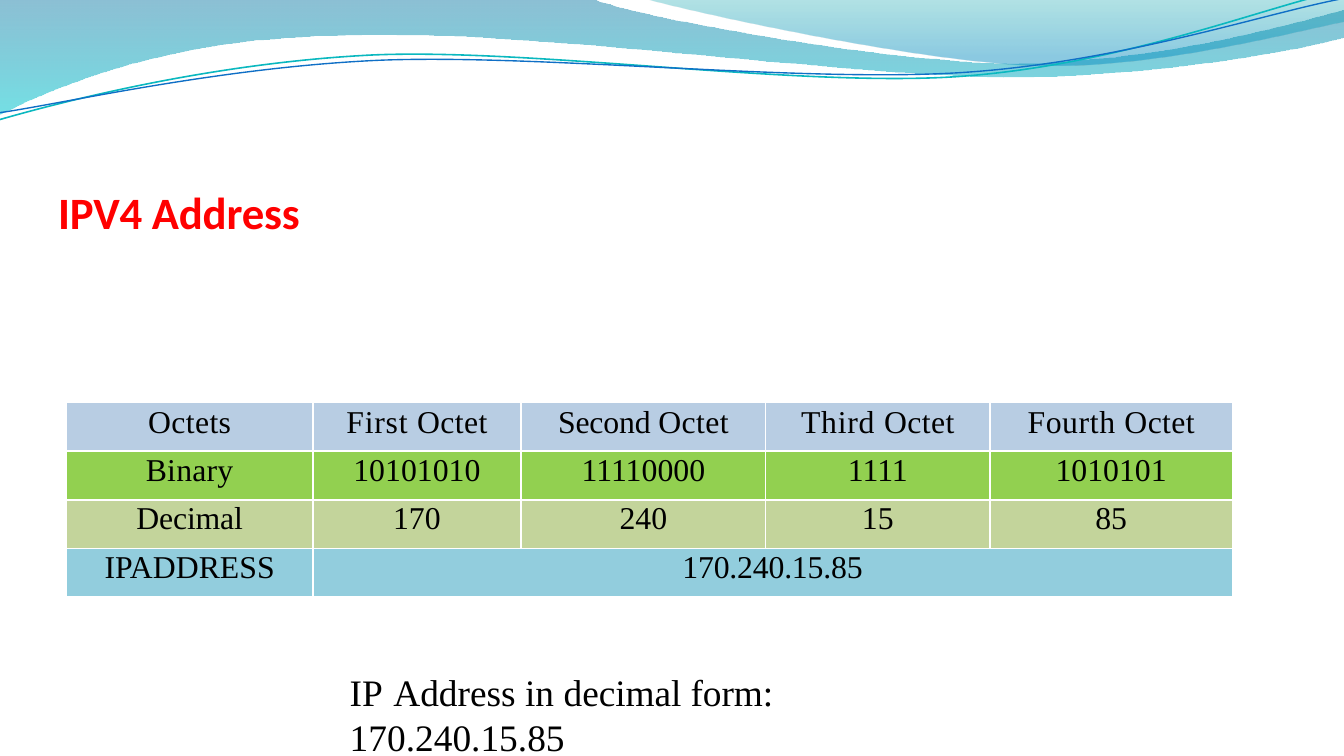
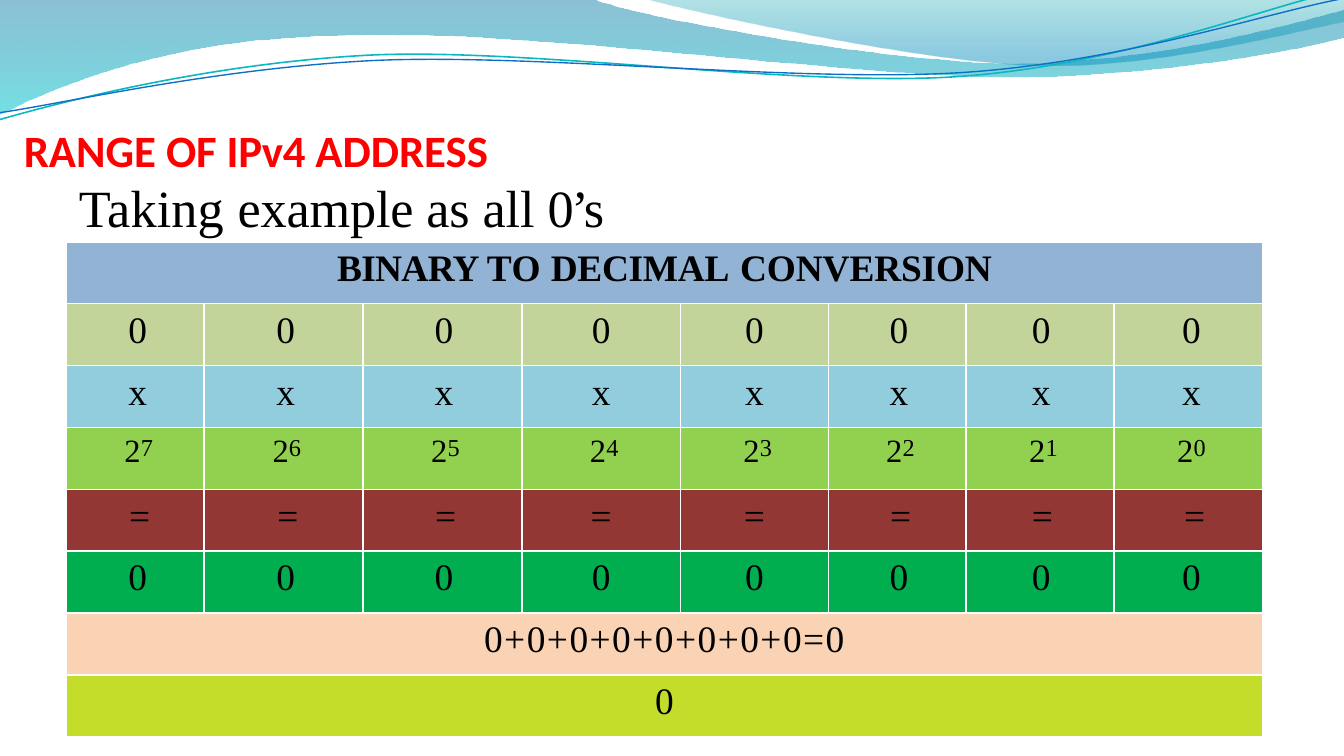
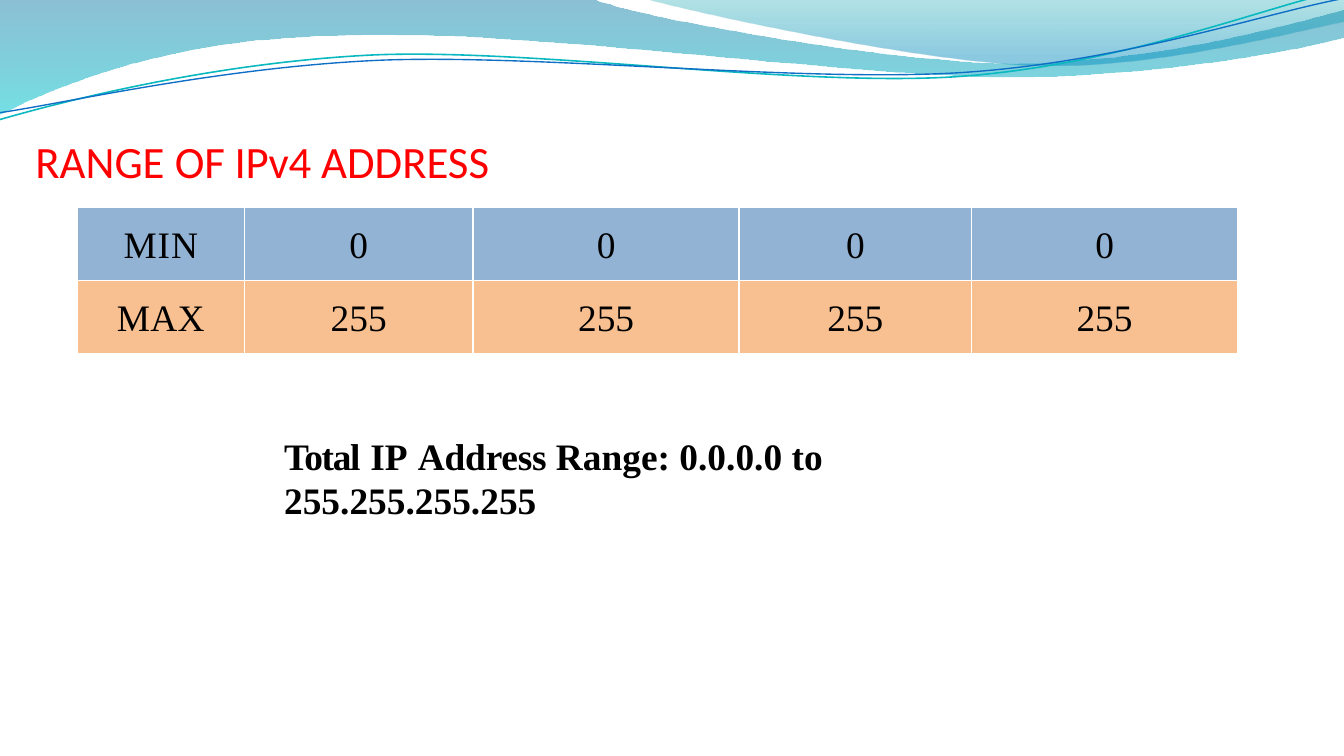
from lxml import etree
from pptx import Presentation
from pptx.dml.color import RGBColor
from pptx.enum.text import MSO_ANCHOR, MSO_AUTO_SIZE, PP_ALIGN
from pptx.oxml.ns import qn
from pptx.util import Cm, Pt

BLACK, RED, WHITE = "000000", "FF0000", "FFFFFF"
STEEL, OLIVE, AQUA, LIME = "93B3D5", "C3D49B", "92CDDD", "92D050"

# Wave outlines in cm: a start point, then one point for a line or three for a curve
BANDS = [
    ((0, 0),
     [[(11.18, -0.03)],
      [(12.09, 0.33), (16.87, 1.19), (19.25, 1.19)],
      [(21.67, 1.19), (24.33, 0.48), (25.4, 0.18)],
      [(25.43, 0.69)],
      [(24.97, 0.84), (22.1, 1.45), (18.95, 1.45)],
      [(15.8, 1.42), (9.7, 0.53), (6.53, 0.66)],
      [(3.28, 0.69), (1.17, 1.57), (-0.03, 2.16)]],
     [(0, "0074A1", 45), (1, "00C6CF", 55)]),
    ((12.17, -0.03),
     [[(12.93, 0.2), (17.32, 1.17), (19.53, 1.24)],
      [(21.74, 1.32), (24.41, 0.61), (25.4, 0.41)],
      [(25.4, 0)]],
     [(0, "00A1A9", 30), (0.8, "008BBF", 45)]),
]
STRANDS = [
    ((0, 2.26),
     [[(1.22, 1.91), (4.01, 1.19), (7.04, 1.04)],
      [(10.06, 0.91), (15.04, 1.65), (18.08, 1.45)],
      [(21.16, 1.24), (23.85, 0.15), (25.35, -0.18)]],
     "0AB8BF", 0.85),
    ((0, 2.13),
     [[(1.19, 1.96), (4.17, 1.27), (7.19, 1.14)],
      [(10.24, 1.02), (15.16, 1.57), (18.21, 1.37)],
      [(21.23, 1.17), (23.9, 0.25), (25.4, -0.03)]],
     "0F6FC6", 0.75),
]


def color(value):
    return RGBColor.from_string(value)


def write(frame, runs, size=20, font="Times New Roman", ink=BLACK, bold=False,
          align=PP_ALIGN.LEFT, leading=None):
    """Write a string, or runs of (text, letter spacing, size, baseline percent)."""
    paragraph = frame.paragraphs[0]
    paragraph.alignment = align
    if leading:
        paragraph.line_spacing = Pt(leading)
    for piece in [(runs, 0)] if isinstance(runs, str) else runs:
        text, spacing, own_size, baseline = (*piece, None, 0)[:4]
        run = paragraph.add_run()
        run.text = text
        run.font.name = font
        run.font.size = Pt(own_size or size)
        run.font.bold = bold
        run.font.color.rgb = color(ink)
        properties = run._r.get_or_add_rPr()
        if spacing:
            properties.set("spc", str(round(spacing * 100)))
        if baseline:
            properties.set("baseline", str(baseline * 1000))


class Deck:
    def __init__(self):
        self.presentation = Presentation()
        self.presentation.slide_width = Cm(25.4)
        self.presentation.slide_height = Cm(14.29)
        self.layout = self.presentation.slide_layouts[6]
        self.slide = None

    def new_slide(self):
        first = self.slide is None
        self.slide = self.presentation.slides.add_slide(self.layout)
        if first:
            self.waves()

    def waves(self):
        """Draw the waves once and hand them to the layout that all slides share."""
        shapes = [self.band(*band) for band in BANDS]
        shapes += [self.strand(*strand) for strand in STRANDS]
        for shape in shapes:
            self.layout.shapes._spTree.append(shape.element)

    def outline(self, start, segments, close):
        points = [(Cm(x), Cm(y)) for segment in segments for x, y in segment]
        builder = self.slide.shapes.build_freeform(Cm(start[0]), Cm(start[1]))
        builder.add_line_segments(points, close=close)
        shape = builder.convert_to_shape()
        shape.shadow.inherit = False
        # Join each run of three points into one cubic curve
        lines = iter(list(shape.element.iter(qn("a:lnTo"))))
        for segment in segments:
            steps = [next(lines) for _ in segment]
            if len(steps) == 3:
                curve = etree.Element(qn("a:cubicBezTo"))
                steps[0].addprevious(curve)
                for step in steps:
                    curve.append(step[0])
                    step.getparent().remove(step)
        return shape

    def band(self, start, segments, stops):
        shape = self.outline(start, segments, close=True)
        shape.line.fill.background()
        shape.fill.gradient()
        shape.fill.gradient_angle = 270
        for stop, (position, ink, _) in zip(shape.fill.gradient_stops, stops):
            stop.position = position
            stop.color.rgb = color(ink)
        for node, (_, _, opacity) in zip(shape.element.spPr.iter(qn("a:srgbClr")), stops):
            etree.SubElement(node, qn("a:alpha")).set("val", str(opacity * 1000))
        return shape

    def strand(self, start, segments, ink, width):
        shape = self.outline(start, segments, close=False)
        shape.fill.background()
        shape.line.color.rgb = color(ink)
        shape.line.width = Pt(width)
        return shape

    def text(self, left, top, width, height, runs, anchor=MSO_ANCHOR.TOP, **style):
        box = self.slide.shapes.add_textbox(Cm(left), Cm(top), Cm(width), Cm(height))
        frame = box.text_frame
        frame.word_wrap = True
        frame.auto_size = MSO_AUTO_SIZE.SHAPE_TO_FIT_TEXT
        frame.vertical_anchor = anchor
        frame.margin_left = frame.margin_top = Cm(0.03)
        frame.margin_right = frame.margin_bottom = 0
        write(frame, runs, **style)

    def title(self, left, top, width, runs, bold=True):
        self.text(left, top, width, 1.07, runs, anchor=MSO_ANCHOR.BOTTOM,
                  size=24, font="Calibri", ink=RED, bold=bold)

    def table(self, left, top, widths, row_height, rows, inset, size=20):
        """Each row is (fill, cells, style); its last cell spans the columns left over."""
        table = self.slide.shapes.add_table(
            len(rows), len(widths), Cm(left), Cm(top),
            Cm(sum(widths)), Cm(row_height * len(rows))).table
        table.first_row = table.horz_banding = False
        for column, width in zip(table.columns, widths):
            column.width = Cm(width)
        for index, (fill, cells, style) in enumerate(rows):
            style = {"size": size, "inset": inset, "indents": [0] * len(widths), **style}
            top_inset, indents = style.pop("inset"), style.pop("indents")
            table.rows[index].height = Cm(row_height)
            for position, indent in enumerate(indents):
                self.dress(table.cell(index, position), fill, top_inset, indent)
            if len(cells) < len(widths):
                table.cell(index, len(cells) - 1).merge(table.cell(index, len(widths) - 1))
            for position, runs in enumerate(cells):
                write(table.cell(index, position).text_frame, runs,
                      align=PP_ALIGN.CENTER, **style)

    def dress(self, cell, fill, top_inset, indent):
        cell.margin_right = cell.margin_bottom = 0
        cell.margin_left, cell.margin_top = Cm(indent), Cm(top_inset)
        cell.fill.solid()
        cell.fill.fore_color.rgb = color(fill)
        properties = cell._tc.get_or_add_tcPr()
        for order, side in enumerate(("lnL", "lnR", "lnT", "lnB")):
            border = etree.Element(qn("a:" + side), w=str(Pt(1)))
            paint = etree.SubElement(border, qn("a:solidFill"))
            etree.SubElement(paint, qn("a:srgbClr"), val=WHITE)
            properties.insert(order, border)


def address_slide(deck):
    deck.new_slide()
    deck.title(1.07, 3.43, 4.67, [("IPV4 Address", -0.1)])
    deck.text(6.58, 12.62, 12.12, 0.89,
              [("IP", 0), (" ", 0.5), ("Address in ", 0), ("decimal form: ", -0.05),
               ("170.240.15.85", 0)])
    ordinals = [("First ", 0.4), ("Second ", -0.1), ("Third ", 0.4), ("Fourth ", 0.3)]
    header = [[("Octets", 0.2)]] + [[ordinal, ("Octet", 0.2)] for ordinal in ordinals]
    deck.table(1.26, 7.61, [4.65, 3.94, 4.62, 4.24, 4.58], 0.92, [
        ("B8CDE3", header, {"inset": 0.04}),
        (LIME, [[("Binary", 0.1)], "10101010", "11110000", "1111", "1010101"], {}),
        (OLIVE, [[("Decimal", -0.1)], "170", "240", "15", "85"], {}),
        (AQUA, ["IPADDRESS", [("170.240.15.85", -0.1)]], {}),
    ], inset=0.03, size=17)


def conversion_slide(deck):
    deck.new_slide()
    deck.title(0.42, 2.26, 8.84, [("RANGE ", 0), ("OF IPv4 ", -0.1), ("ADDRESS", 0)])
    deck.text(1.46, 3.28, 10.11, 1.22,
              [("Taking ", 0.1), ("example as all ", -0.05), ("0’s", -1.2)], size=28)
    heading = [("BINARY ", -0.4), ("TO ", 0.2), ("DECIMAL", -0.2), (" ", 0.8),
               ("CONVERSION", -0.1)]
    powers = [[("2", 0.1, 30, -11), (str(power), 0, 13)] for power in range(7, -1, -1)]
    shifts = [0.08, 0.08, 0.06, 0, 0, 0.06, 0.04, 0.12]
    shifted = {"indents": shifts}
    deck.table(1.26, 4.57, [2.6, 3, 3, 3, 2.8, 2.6, 2.8, 2.8], 1.17, [
        (STEEL, [heading], {"bold": True}),
        (OLIVE, ["0"] * 8, shifted),
        (AQUA, ["x"] * 8, shifted),
        (LIME, powers, {"inset": 0, "leading": 22.4, "indents": [0.12] * 8}),
        ("933735", ["="] * 8, {"indents": [2 * shift for shift in shifts]}),
        ("00AE50", ["0"] * 8, shifted),
        ("FAD3B5", [[("0+0+0+0+0+0+0+0=0", 0.8)]], {}),
        ("C3DD2A", ["0"], {}),
    ], inset=0.12)


def range_slide(deck):
    deck.new_slide()
    deck.title(0.64, 2.48, 8.84, [("RANGE ", 0), ("OF IPv4 ", -0.1), ("ADDRESS", 0)],
               bold=False)
    deck.text(5.34, 8.15, 15.01, 0.89,
              [("Total", -0.7), (" ", 0.2), ("IP", 0), (" ", 0.4), ("Address ", -0.1),
               ("Range: 0.0.0.0 to 255.255.255.255", 0)], bold=True)
    deck.table(1.46, 3.91, [3.16, 4.32, 5.03, 4.39, 5.03], 1.39, [
        (STEEL, [[("MIN", 0.5)]] + ["0"] * 4, {}),
        ("F8C090", [[("MAX", 0.1)]] + ["255"] * 4, {}),
    ], inset=0.34)


def main():
    deck = Deck()
    address_slide(deck)
    conversion_slide(deck)
    range_slide(deck)
    deck.presentation.save("out.pptx")


if __name__ == "__main__":
    main()
